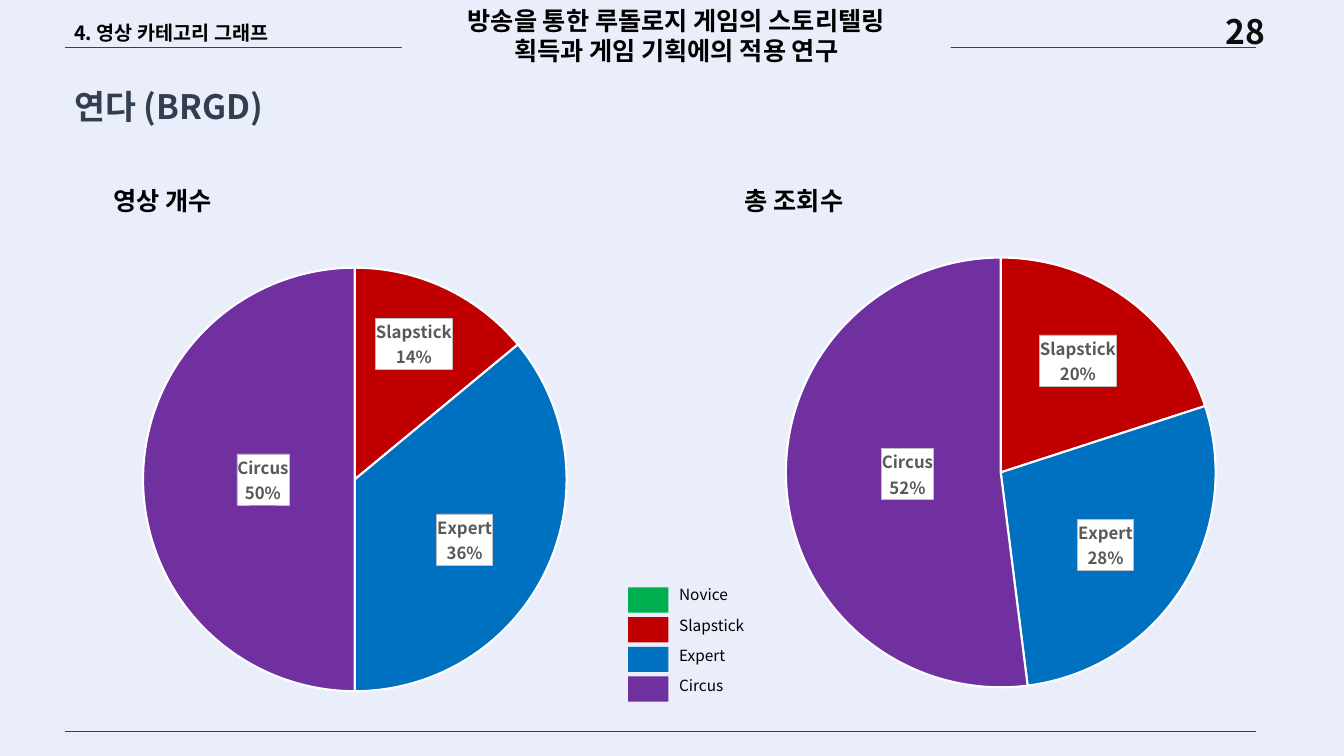
from lxml import etree
from pptx import Presentation
from pptx.chart.data import CategoryChartData
from pptx.dml.color import RGBColor
from pptx.enum.chart import XL_CHART_TYPE
from pptx.enum.shapes import MSO_CONNECTOR, MSO_SHAPE
from pptx.enum.text import MSO_ANCHOR, PP_ALIGN
from pptx.oxml import parse_xml
from pptx.oxml.ns import nsdecls, qn
from pptx.util import Pt

CENTER, LEFT = PP_ALIGN.CENTER, PP_ALIGN.LEFT
TOP, MIDDLE = MSO_ANCHOR.TOP, MSO_ANCHOR.MIDDLE
FONT = "Noto Sans CJK KR"
BACKGROUND = RGBColor(0xEA, 0xEE, 0xFA)
BLACK = RGBColor(0, 0, 0)
NEAR_BLACK = RGBColor(0x0D, 0x0D, 0x0D)
SLATE = RGBColor(0x33, 0x3F, 0x50)
RULE_GRAY = RGBColor(0x40, 0x40, 0x40)
WHITE = RGBColor(0xFF, 0xFF, 0xFF)

PAGE_NUMBER = "28"
SECTION = "4. 영상 카테고리 그래프"
STUDY = ["방송을 통한 루돌로지 게임의 스토리텔링", "획득과 게임 기획에의 적용 연구"]
STREAMER = "연다 (BRGD)"
CATEGORIES = {
    "Novice": RGBColor(0x00, 0xB0, 0x50),
    "Slapstick": RGBColor(0xC0, 0x00, 0x00),
    "Expert": RGBColor(0x00, 0x70, 0xC0),
    "Circus": RGBColor(0x70, 0x30, 0xA0),
}
# heading, heading left, chart left, values, plot area (x, y, w, h), label shifts
PIES = [
    ("영상 개수", 46, 0, (0, 14, 36, 50), (0.204, 0.12, 0.604, 0.848),
     (None, (0.02, -0.08), (0.02, 0.03), (0.02, 0))),
    ("총 조회수", 497, 458.6, (0, 20, 28, 52), (0.205, 0.1, 0.613, 0.86),
     (None, (0.02, -0.05), (0.02, 0.03), (0.02, -0.01))),
]
RULE_LEFT, RULE_RIGHT = 46.4, 897
RULE_TOPS = (33.8, 522.5)
CHART_TOP, CHART_WIDTH, CHART_HEIGHT = 148.3, 501, 357
LEGEND_LEFT, LEGEND_TOP = 448.6, 419.6
SWATCH_WIDTH, SWATCH_HEIGHT, SWATCH_PITCH = 28.8, 18, 21.2
NAME_LEFT, NAME_TOP, NAME_PITCH = 478, 414.7, 21.6


def style(font, size, color, bold=True):
    font.size, font.bold, font.name = Pt(size), bold, FONT
    font.color.rgb = color


def write(shape, lines, size, color, bold=True, align=LEFT, anchor=TOP, spacing=None):
    frame = shape.text_frame
    frame.word_wrap = True
    frame.vertical_anchor = anchor
    frame.margin_left = frame.margin_right = Pt(7.2)
    frame.margin_top = frame.margin_bottom = Pt(3.6)
    paragraph = frame.paragraphs[0]
    paragraph.alignment = align
    if spacing:
        paragraph.line_spacing = spacing
    for number, line in enumerate(lines):
        if number:
            paragraph.add_line_break()
        run = paragraph.add_run()
        run.text = line
        style(run.font, size, color, bold)
        etree.SubElement(run.font._element, qn("a:ea"), typeface=FONT)


def box(left, top, width, height):
    return slide.shapes.add_textbox(Pt(left), Pt(top), Pt(width), Pt(height))


def block(left, top, width, height, color):
    shape = slide.shapes.add_shape(MSO_SHAPE.RECTANGLE, Pt(left), Pt(top), Pt(width), Pt(height))
    shape.shadow.inherit = False
    shape.fill.solid()
    shape.fill.fore_color.rgb = color
    shape.line.fill.background()
    return shape


def rule(top):
    line = slide.shapes.add_connector(
        MSO_CONNECTOR.STRAIGHT, Pt(RULE_LEFT), Pt(top), Pt(RULE_RIGHT), Pt(top))
    line.line.color.rgb = RULE_GRAY
    line.line.width = Pt(0.5)
    etree.SubElement(line._element.spPr, qn("a:effectLst"))


def manual_layout(body):
    return f'<c:layout {nsdecls("c")}><c:manualLayout>{body}</c:manualLayout></c:layout>'


def label_xml(shifts):
    """Boxed category and percentage labels, shifted from the slice centres."""
    shared = (
        '<c:numFmt formatCode="0%" sourceLinked="0"/>'
        '<c:spPr><a:solidFill><a:srgbClr val="FFFFFF"/></a:solidFill>'
        '<a:ln w="6350"><a:solidFill><a:srgbClr val="BFBFBF"/></a:solidFill></a:ln></c:spPr>'
        '<c:txPr><a:bodyPr/><a:p><a:pPr><a:defRPr sz="1200" b="1">'
        '<a:solidFill><a:srgbClr val="595959"/></a:solidFill>'
        f'<a:latin typeface="{FONT}"/><a:ea typeface="{FONT}"/></a:defRPr></a:pPr>'
        '<a:endParaRPr lang="ko-KR"/></a:p></c:txPr><c:dLblPos val="ctr"/>'
        '<c:showLegendKey val="0"/><c:showVal val="0"/><c:showCatName val="1"/>'
        '<c:showSerName val="0"/><c:showPercent val="1"/><c:showBubbleSize val="0"/>'
        '<c:separator>\n</c:separator>')
    labels = ""
    for index, shift in enumerate(shifts):
        if shift:
            place = manual_layout(f'<c:x val="{shift[0]}"/><c:y val="{shift[1]}"/>')
            content = place + shared
        else:
            content = '<c:delete val="1"/>'
        labels += f'<c:dLbl><c:idx val="{index}"/>{content}</c:dLbl>'
    return f'<c:dLbls {nsdecls("c", "a")}>{labels}{shared}</c:dLbls>'


def add_pie(left, values, plot, shifts):
    data = CategoryChartData()
    data.categories = list(CATEGORIES)
    data.add_series("Series 1", values)
    chart = slide.shapes.add_chart(
        XL_CHART_TYPE.PIE, Pt(left), Pt(CHART_TOP), Pt(CHART_WIDTH), Pt(CHART_HEIGHT), data).chart
    chart.has_legend = chart.has_title = False
    style(chart.font, 10, BLACK)
    chart.plots[0].vary_by_categories = True
    series = chart.plots[0].series[0]
    for index, color in enumerate(CATEGORIES.values()):
        slice_format = series.points[index].format
        slice_format.fill.solid()
        slice_format.fill.fore_color.rgb = color
        slice_format.line.color.rgb = WHITE
        slice_format.line.width = Pt(1.5)
    series._element.find(qn("c:cat")).addprevious(parse_xml(label_xml(shifts)))
    area = chart._chartSpace.chart.plotArea
    for layout in area.findall(qn("c:layout")):
        area.remove(layout)
    edges = '<c:layoutTarget val="inner"/><c:xMode val="edge"/><c:yMode val="edge"/>'
    sizes = "".join(f'<c:{key} val="{value}"/>' for key, value in zip("xywh", plot))
    area.insert(0, parse_xml(manual_layout(edges + sizes)))


deck = Presentation()
deck.slide_width, deck.slide_height = Pt(960), Pt(540)
slide = deck.slides.add_slide(deck.slide_layouts[5])
slide.background.fill.solid()
slide.background.fill.fore_color.rgb = BACKGROUND

title = slide.shapes.title
title.left, title.top, title.width, title.height = Pt(46), Pt(43), Pt(309), Pt(51)
write(title, [STREAMER], 24, SLATE, anchor=MIDDLE, spacing=1.5)

write(box(831.6, 4.3, 116, 29), [PAGE_NUMBER], 24, NEAR_BLACK, align=CENTER)
for rule_top in RULE_TOPS:
    rule(rule_top)
write(block(287, 0, 392, 51, BACKGROUND), STUDY, 18, BLACK, align=CENTER, anchor=MIDDLE)
write(box(46, 4.3, 227.5, 29.5), [SECTION], 14, BLACK, anchor=MIDDLE, spacing=1.5)

for heading, heading_left, chart_left, values, plot, shifts in PIES:
    add_pie(chart_left, values, plot, shifts)
    write(box(heading_left, 129, 140.4, 29), [heading], 18, BLACK, align=CENTER)

for row, (name, color) in enumerate(CATEGORIES.items()):
    block(LEGEND_LEFT, LEGEND_TOP + row * SWATCH_PITCH, SWATCH_WIDTH, SWATCH_HEIGHT, color)
    write(box(NAME_LEFT, NAME_TOP + row * NAME_PITCH, 67, 21), [name], 11, BLACK, bold=False)

deck.save("out.pptx")
